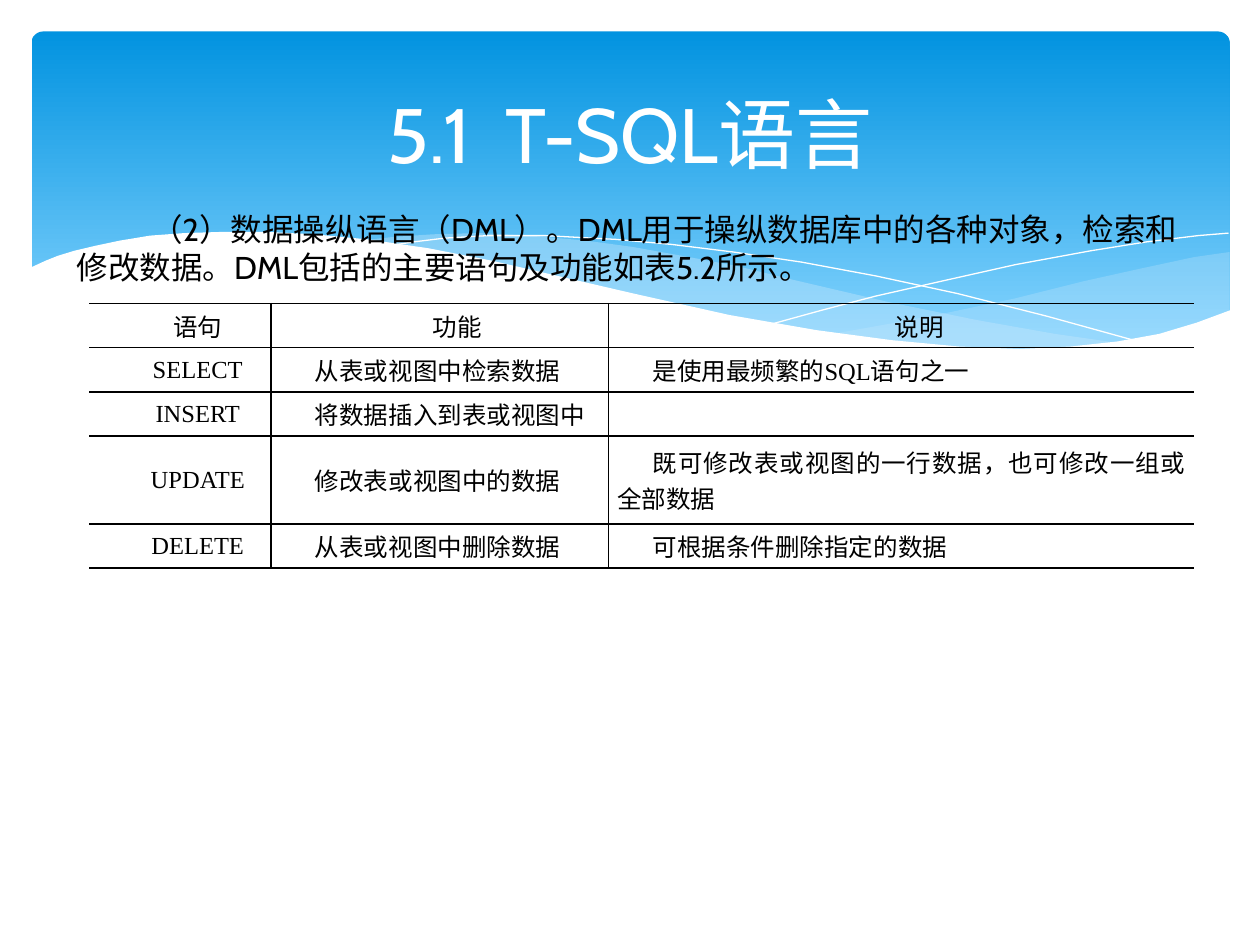
from pptx import Presentation, util as u
from pptx.dml.color import RGBColor
from pptx.enum import shapes as sh, text as tx
from pptx.oxml import parse_xml
from pptx.oxml.ns import nsdecls, qn
from lxml import etree

TITLE = "5.1  T-SQL语言"
BODY = "（2）数据操纵语言（DML）。DML用于操纵数据库中的各种对象，检索和修改数据。DML包括的主要语句及功能如表5.2所示。"
ROWS = [
    ("语句", "功能", "说明"),
    ("SELECT", "从表或视图中检索数据", "是使用最频繁的SQL语句之一"),
    ("INSERT", "将数据插入到表或视图中", ""),
    ("UPDATE", "修改表或视图中的数据", "既可修改表或视图的一行数据，也可修改一组或全部数据"),
    ("DELETE", "从表或视图中删除数据", "可根据条件删除指定的数据"),
]
WIDTHS = [1.44, 2.68, 4.65]
HIGHS = [0.35, 0.35, 0.35, 0.7, 0.35]

SWOOP = [(9.76, 2), (9.48, 2.04), (9.06, 2.13), (8.61, 2.23), (8.05, 2.37),
         (7.53, 2.48), (7.06, 2.57), (6.61, 2.65), (6.91, 2.69), (7.32, 2.74),
         (7.69, 2.77), (8.03, 2.78), (8.44, 2.77), (8.81, 2.73), (9.13, 2.67),
         (9.42, 2.59), (9.76, 2.47)]
BAND = [(8.93, 2.73), (8.37, 2.65), (7.75, 2.54), (7.06, 2.4), (6.29, 2.22),
        (5.84, 2.11), (5.41, 2.03), (5.02, 1.96), (4.65, 1.91), (4.2, 1.87),
        (3.8, 1.85), (3.44, 1.86), (3.13, 1.88), (2.86, 1.91), (3.23, 1.96),
        (3.62, 2.03), (4.04, 2.11), (4.49, 2.22), (5.3, 2.4), (6.01, 2.55),
        (6.65, 2.66), (7.22, 2.74), (7.73, 2.77), (8.18, 2.78), (8.57, 2.77)]
ARC = [(3.09, 1.95), (3.28, 1.92), (3.53, 1.89), (3.87, 1.87), (4.33, 1.87),
       (4.89, 1.9), (5.33, 1.94), (5.82, 2), (6.36, 2.08), (6.95, 2.19),
       (7.6, 2.33), (8.31, 2.51), (9.07, 2.72)]
RISE = [(6.13, 2.57), (6.53, 2.46), (6.95, 2.35), (7.48, 2.23), (8.06, 2.1),
        (8.66, 1.99), (9.1, 1.92), (9.51, 1.87), (9.75, 1.85)]
WAVE = [(9.77, 2.46), (9.5, 2.56), (9.2, 2.65), (8.87, 2.71), (8.5, 2.75),
        (8.09, 2.77), (7.61, 2.75), (7.08, 2.7), (6.48, 2.62), (5.79, 2.5),
        (5.03, 2.33), (4.47, 2.2), (3.91, 2.07), (3.4, 1.97), (2.92, 1.9),
        (2.5, 1.86), (2.11, 1.84), (1.77, 1.84), (1.46, 1.85), (1.19, 1.87),
        (0.95, 1.91), (0.76, 1.95), (0.59, 1.99), (0.46, 2.03), (0.36, 2.07),
        (0.23, 2.13), (0.23, 3.29), (9.77, 3.29)]
CURVES = [(SWOOP, "C6E7FC", 29), (BAND, "C6E7FC", 40),
          (ARC, None, 0), (RISE, None, 0), (WAVE, "FFFFFF", 100)]


def hue(code):
    return RGBColor.from_string(code)


def box(*nums):
    return [u.Inches(n) for n in nums]


def write(para, words, size, face, code, indent=0):
    props = para._p.get_or_add_pPr()
    props.set("marL", "0")
    props.set("indent", str(u.Inches(indent)))
    para.font.size = u.Pt(size)
    if words:
        run = para.add_run()
        run.text = words
        run.font.size = u.Pt(size)
        run.font.name = face
        run.font.color.rgb = hue(code)


def draw(slide, points, code, alpha):
    dots = [box(*p) for p in points]
    pen = slide.shapes.build_freeform(*dots[0], scale=1.0)
    pen.add_line_segments(dots[1:], close=bool(code))
    form = pen.convert_to_shape()
    form.shadow.inherit = False
    if code is None:
        form.fill.background()
        form.line.color.rgb = hue("FFFFFF")
        form.line.width = u.Pt(0)
        return
    form.line.fill.background()
    form.fill.solid()
    form.fill.fore_color.rgb = hue(code)
    if alpha < 100:
        tint = form._element.spPr.find(".//" + qn("a:srgbClr"))
        etree.SubElement(tint, qn("a:alpha")).set("val", str(alpha * 1000))


def edge(cell, sides):
    props = cell._tc.get_or_add_tcPr()
    for spot, side in enumerate("LRTB"):
        ink = '<a:solidFill><a:srgbClr val="000000"/></a:solidFill>' if side in sides else "<a:noFill/>"
        props.insert(spot, parse_xml(f'<a:ln{side} {nsdecls("a")} w="12700">{ink}</a:ln{side}>'))


def paint(slide):
    panel = slide.shapes.add_shape(sh.MSO_SHAPE.ROUNDED_RECTANGLE, *box(0.25, 0.25, 9.51, 2.7))
    panel.adjustments[0] = 0.034
    panel.shadow.inherit = False
    panel.line.fill.background()
    panel.fill.gradient()
    panel.fill.gradient_angle = 270
    for stop, (place, code) in zip(panel.fill.gradient_stops, [(0, "0293E0"), (0.9, "83D3FE")]):
        stop.position = place
        stop.color.rgb = hue(code)
    for curve in CURVES:
        draw(slide, *curve)


def head(slide):
    title = slide.shapes.title
    slide.shapes._spTree.append(title._element)
    title.left, title.top, title.width, title.height = box(0.5, 0.37, 9, 1.37)
    frame = title.text_frame
    frame.vertical_anchor = tx.MSO_ANCHOR.MIDDLE
    para = frame.paragraphs[0]
    para.alignment = tx.PP_ALIGN.CENTER
    write(para, TITLE, 44, "Cabin", "FFFFFF")


def body(slide):
    frame = slide.shapes.add_textbox(*box(0.51, 1.62, 8.98, 1.01)).text_frame
    frame.word_wrap = True
    write(frame.paragraphs[0], BODY, 18, "Cabin", "000000", 0.59)


def grid(slide):
    table = slide.shapes.add_table(len(ROWS), len(WIDTHS),
                                   *box(0.71, 2.41, sum(WIDTHS), sum(HIGHS))).table
    table.first_row = table.horz_banding = False
    for col, wide in zip(table.columns, WIDTHS):
        col.width = u.Inches(wide)
    for row, high in zip(table.rows, HIGHS):
        row.height = u.Inches(high)
    for r, line in enumerate(ROWS):
        for c, words in enumerate(line):
            cell = table.cell(r, c)
            cell.fill.background()
            edge(cell, ("RTB", "LRTB", "LTB")[c])
            cell.vertical_anchor = tx.MSO_ANCHOR.MIDDLE
            cell.margin_left = cell.margin_right = u.Inches(0.07)
            cell.margin_top = cell.margin_bottom = 0
            para = cell.text_frame.paragraphs[0]
            mid = r == 0 or c == 0
            para.alignment = tx.PP_ALIGN.CENTER if mid else tx.PP_ALIGN.JUSTIFY
            para.space_after = u.Pt(1.2)
            write(para, words, 14, "Times New Roman", "000000", 0.28)


def main():
    deck = Presentation()
    deck.slide_width, deck.slide_height = box(10, 7.5)
    slide = deck.slides.add_slide(deck.slide_layouts[5])
    for part in (paint, head, body, grid):
        part(slide)
    deck.save("out.pptx")


if __name__ == "__main__":
    main()
